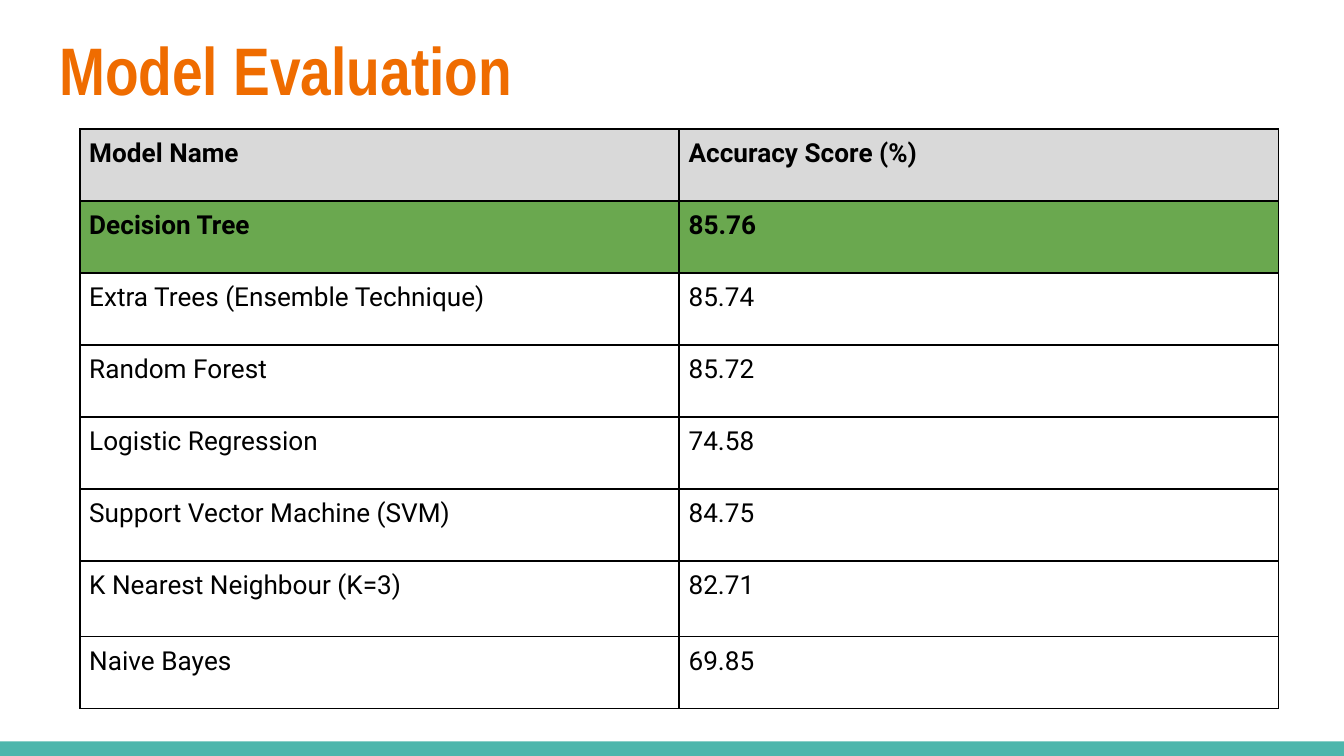
from dataclasses import dataclass

from lxml import etree
from pptx import Presentation
from pptx.dml.color import RGBColor
from pptx.enum import shapes, text
from pptx.oxml import ns
from pptx.util import Pt

COLORS = {
    "title": "EF6C00",
    "footer": "4DB6AC",
    "header": "D9D9D9",
    "best": "6AA84F",
    "ink": "000000",
}
PAGE_WIDTH, PAGE_HEIGHT = 720, 405
COLUMN_WIDTH = 321.1
ROW_HEIGHT, TALL_ROW_HEIGHT = 38.6, 40.3
TABLE_LEFT, TABLE_TOP = 42.8, 69.2
CELL_INSET, TITLE_INSET = 5, 7.2


@dataclass
class ModelRow:
    name: str
    score: str
    fill: str = ""
    height: float = ROW_HEIGHT


ROWS = [
    ModelRow("Model Name", "Accuracy Score (%)", "header"),
    ModelRow("Decision Tree", "85.76", "best"),
    ModelRow("Extra Trees (Ensemble Technique)", "85.74"),
    ModelRow("Random Forest", "85.72"),
    ModelRow("Logistic Regression", "74.58"),
    ModelRow("Support Vector Machine (SVM)", "84.75"),
    ModelRow("K Nearest Neighbour (K=3)", "82.71", height=TALL_ROW_HEIGHT),
    ModelRow("Naive Bayes", "69.85"),
]


def rgb(name: str) -> RGBColor:
    return RGBColor.from_string(COLORS[name])


def set_values(target, values: dict) -> None:
    for name, value in values.items():
        setattr(target, name, value)


def margins(inset: float) -> dict:
    return {f"margin_{side}": Pt(inset) for side in ("left", "top", "right", "bottom")}


def write(paragraph, words: str, font: str, size: float, bold: bool, color: str) -> None:
    span = paragraph.add_run()
    span.text = words
    set_values(span.font, {"name": font, "size": Pt(size), "bold": bold})
    span.font.color.rgb = rgb(color)


def add_borders(cell) -> None:
    properties = cell._tc.get_or_add_tcPr()
    for side in ("lnL", "lnR", "lnT", "lnB"):
        line = etree.SubElement(properties, ns.qn(f"a:{side}"), w=str(Pt(1)))
        fill = etree.SubElement(line, ns.qn("a:solidFill"))
        etree.SubElement(fill, ns.qn("a:srgbClr"), val=COLORS["ink"])


def fill_cell(cell, words: str, fill: str) -> None:
    set_values(cell, margins(CELL_INSET))
    cell.vertical_anchor = text.MSO_ANCHOR.TOP
    add_borders(cell)
    if fill:
        cell.fill.solid()
        cell.fill.fore_color.rgb = rgb(fill)
    else:
        cell.fill.background()
    write(cell.text_frame.paragraphs[0], words, "Roboto", 14, bool(fill), "ink")


def add_footer(page) -> None:
    height = 7.8
    bar = page.shapes.add_shape(
        shapes.MSO_SHAPE.RECTANGLE,
        Pt(0), Pt(PAGE_HEIGHT - height), Pt(PAGE_WIDTH), Pt(height),
    )
    bar.shadow.inherit = False
    bar.fill.solid()
    bar.fill.fore_color.rgb = rgb("footer")
    bar.line.fill.background()


def add_title(page, words: str) -> None:
    box = page.shapes.title
    set_values(box, {"left": Pt(24.5), "top": Pt(8), "width": Pt(671), "height": Pt(55.4)})
    frame = box.text_frame
    set_values(frame, margins(TITLE_INSET) | {
        "word_wrap": True,
        "auto_size": text.MSO_AUTO_SIZE.NONE,
        "vertical_anchor": text.MSO_ANCHOR.TOP,
    })
    para = frame.paragraphs[0]
    para.alignment = text.PP_ALIGN.LEFT
    write(para, words, "Arial Narrow", 36, True, "title")


def add_scores(page, rows: list[ModelRow]) -> None:
    table = page.shapes.add_table(
        len(rows), 2, Pt(TABLE_LEFT), Pt(TABLE_TOP),
        Pt(2 * COLUMN_WIDTH), Pt(sum(row.height for row in rows)),
    ).table
    set_values(table, {"first_row": False, "horz_banding": False})
    for column in table.columns:
        column.width = Pt(COLUMN_WIDTH)
    for index, row in enumerate(rows):
        table.rows[index].height = Pt(row.height)
        for column, words in enumerate((row.name, row.score)):
            fill_cell(table.cell(index, column), words, row.fill)


def main() -> None:
    deck = Presentation()
    set_values(deck, {"slide_width": Pt(PAGE_WIDTH), "slide_height": Pt(PAGE_HEIGHT)})
    page = deck.slides.add_slide(deck.slide_layouts[5])  # title only
    add_footer(page)
    add_scores(page, ROWS)
    add_title(page, "Model Evaluation")
    deck.save("out.pptx")


if __name__ == "__main__":
    main()
